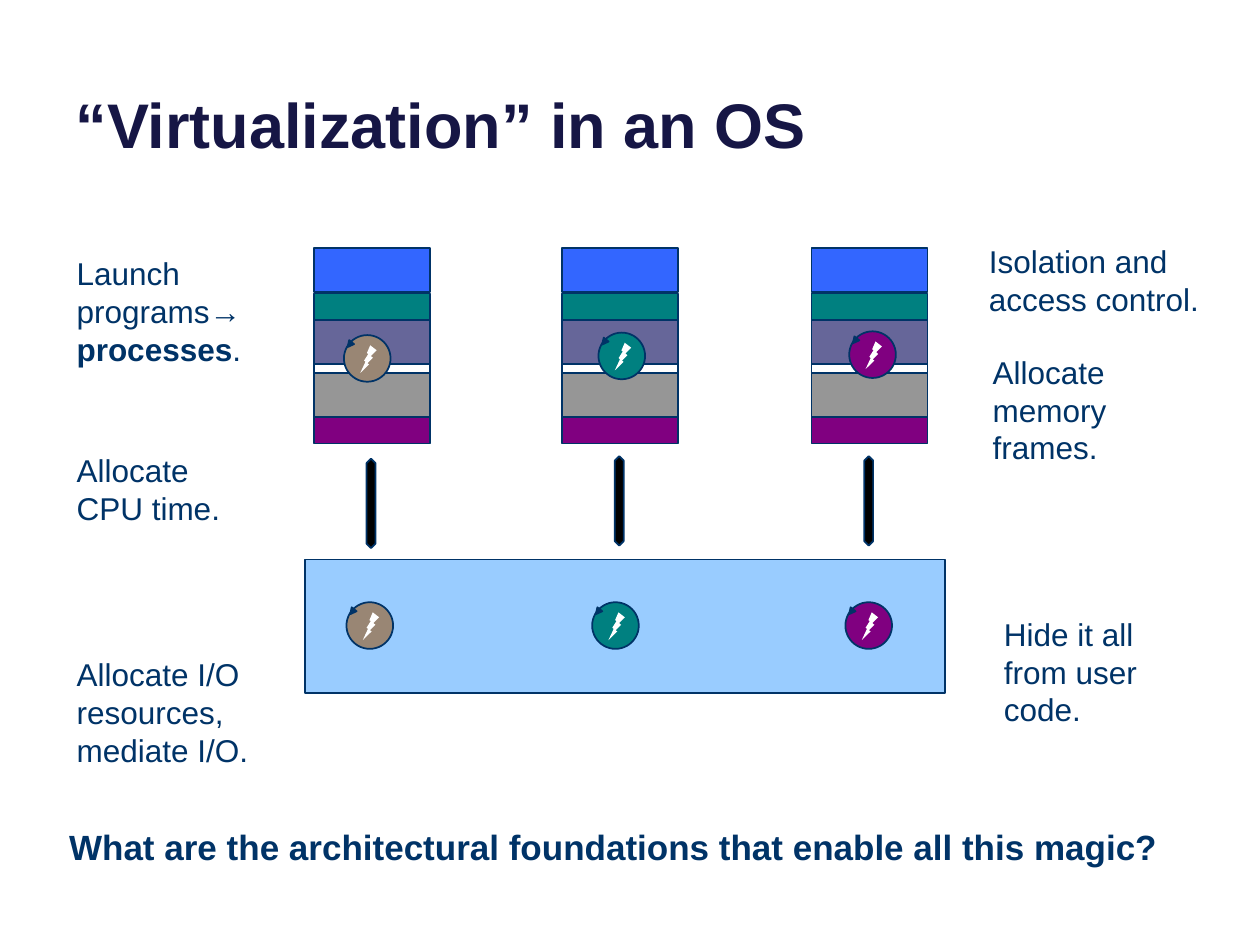
"""Build a slide on how an operating system virtualizes the machine for its processes."""
from pptx import Presentation
from pptx.dml.color import RGBColor
from pptx.enum.shapes import MSO_SHAPE
from pptx.enum.text import MSO_ANCHOR, PP_ALIGN
from pptx.util import Inches, Pt

BOX = MSO_SHAPE.FLOWCHART_PROCESS
ARROW = MSO_SHAPE.UP_DOWN_ARROW
CIRCLE = MSO_SHAPE.OVAL
BOLT = MSO_SHAPE.LIGHTNING_BOLT
TRIANGLE = MSO_SHAPE.ISOSCELES_TRIANGLE
LEFT = PP_ALIGN.LEFT
BOTTOM = MSO_ANCHOR.BOTTOM

COLORS = {
    "title": "161645", "navy": "003367", "blue": "3366FF", "teal": "008080",
    "slate": "666699", "white": "FFFFFF", "gray": "969696", "purple": "800080",
    "kernel": "99CCFF", "black": "000000", "tan": "998674",
}


def add_box(kind, left, top, width, height, color, outlined=True):
    shape = slide.shapes.add_shape(kind, Inches(left), Inches(top), Inches(width), Inches(height))
    shape.shadow.inherit = False
    shape.fill.solid()
    shape.fill.fore_color.rgb = RGBColor.from_string(COLORS[color])
    if outlined:
        shape.line.color.rgb = RGBColor.from_string(COLORS["navy"])
        shape.line.width = Pt(1)
    else:
        shape.line.fill.background()
    return shape


def add_run(paragraph, text, size, color="navy", bold=False):
    run = paragraph.add_run()
    run.text = text
    run.font.name = "Arial"
    run.font.size = Pt(size)
    run.font.bold = bold
    run.font.color.rgb = RGBColor.from_string(COLORS[color])


presentation = Presentation()
presentation.slide_width = Inches(10)
presentation.slide_height = Inches(7.5)
slide = presentation.slides.add_slide(presentation.slide_layouts[5])

title = slide.shapes.title
title.left, title.top, title.width, title.height = Inches(0.5), Inches(-0.37), Inches(9), Inches(1.7)
title.text_frame.vertical_anchor = BOTTOM
title_paragraph = title.text_frame.paragraphs[0]
title_paragraph.alignment = LEFT
add_run(title_paragraph, "“Virtualization” in an OS", 36, "title", True)

segments = [
    (1.97, 0.35, "blue"), (2.33, 0.21, "teal"), (2.54, 0.35, "slate"),
    (2.89, 0.07, "white"), (2.96, 0.35, "gray"), (3.31, 0.21, "purple"),
]
for process_left in (2.49, 4.46, 6.44):
    for top, height, color in segments:
        add_box(BOX, process_left, top, 0.92, height, color)

add_box(BOX, 2.42, 4.44, 5.08, 1.06, "kernel")

for left, top in ((2.91, 3.64), (4.88, 3.62), (6.86, 3.62)):
    arrow = add_box(ARROW, left, top, 0.07, 0.71, "black")
    arrow.adjustments[0] = 0.5
    arrow.adjustments[1] = 2

threads = [
    (4.7, 4.78, "teal"), (6.71, 4.78, "purple"), (2.75, 4.78, "tan"),
    (2.73, 2.66, "tan"), (4.75, 2.64, "teal"), (6.74, 2.63, "purple"),
]
for left, top, color in threads:
    add_box(CIRCLE, left, top, 0.37, 0.37, color)
    bolt = add_box(BOLT, left + 0.13, top + 0.08, 0.13, 0.22, "white", outlined=False)
    bolt.element.spPr.xfrm.set("flipH", "1")
    add_box(TRIANGLE, left + 0.02, top + 0.05, 0.05, 0.05, "navy").rotation = 219

notes = [
    (0.51, 3.53, 1.54, 0.71, 18, [[("Allocate CPU time.", False)]]),
    (0.51, 1.97, 1.54, 1.01, 18, [[("Launch programs→", False), ("processes", True), (".", False)]]),
    (0.51, 5.15, 1.65, 1.01, 18, [[("Allocate I/O resources,", False)], [("mediate I/O.", False)]]),
    (7.75, 1.87, 1.92, 0.71, 18, [[("Isolation and access control.", False)]]),
    (7.78, 2.75, 1.34, 1.01, 18, [[("Allocate memory frames.", False)]]),
    (7.87, 4.83, 1.67, 1.01, 18, [[("Hide it all from user code.", False)]]),
    (0.45, 6.5, 9, 0.44, 20,
     [[("What are the architectural foundations that enable all this magic?", True)]]),
]
for left, top, width, height, size, paragraphs in notes:
    text_box = slide.shapes.add_textbox(Inches(left), Inches(top), Inches(width), Inches(height))
    text_frame = text_box.text_frame
    text_frame.word_wrap = True
    for index, runs in enumerate(paragraphs):
        paragraph = text_frame.add_paragraph() if index else text_frame.paragraphs[0]
        for text, bold in runs:
            add_run(paragraph, text, size, bold=bold)

presentation.save("out.pptx")
